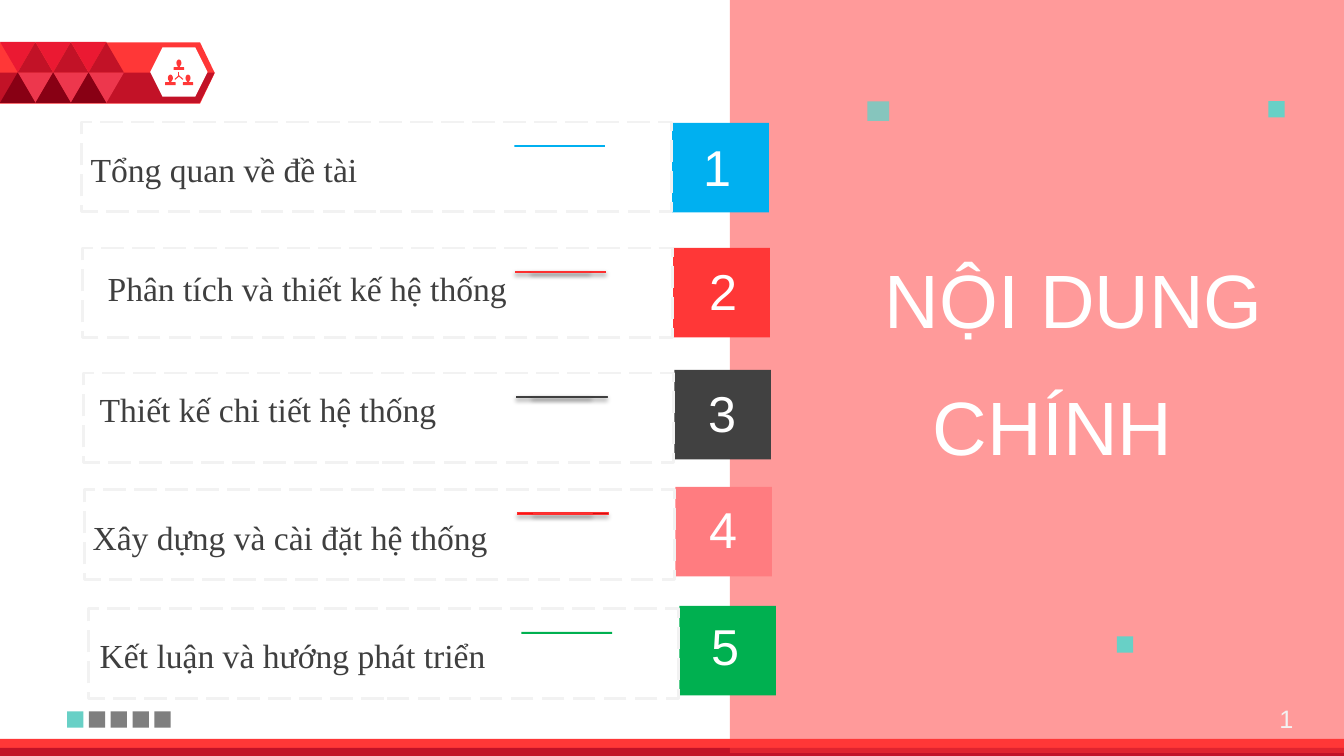
"""Build the contents slide with five numbered topics."""
from dataclasses import dataclass

from lxml import etree
from pptx import Presentation, util as u
from pptx.dml.color import RGBColor
from pptx.enum import dml, shapes, text
from pptx.oxml import ns

KIND = shapes.MSO_SHAPE
ALIGN = text.PP_ALIGN


@dataclass(frozen=True)
class Theme:
    """Colours, fonts and type sizes of the slide."""
    red: str = "FF3737"
    crimson: str = "C21227"
    scarlet: str = "EB1932"
    rose: str = "ED374D"
    maroon: str = "880014"
    pink: str = "FF7C80"
    blue: str = "00B0F0"
    green: str = "00B050"
    charcoal: str = "414141"
    teal: str = "68D0C6"
    grey: str = "7F7F7F"
    pale: str = "F2F2F2"
    white: str = "FFFFFF"
    black: str = "000000"
    ink: str = "3F3F3F"
    red_rule: tuple = ("D11111", "FF1313", "FD3030")
    dark_rule: tuple = ("2F2F2F", "3F3F3F", "3F3F3F")
    sans: str = "Arial"
    serif: str = "Times New Roman"
    title_size: int = 54
    number_size: int = 36
    label_size: int = 24
    page_size: int = 18


THEME = Theme()


@dataclass(frozen=True)
class Topic:
    """One row: its wording, colours and (left, top) places in points."""
    label: str
    colour: str
    frame: tuple
    badge_top: float
    number_at: tuple
    label_at: tuple
    shiny: tuple = ()


TOPICS = (
    Topic("Tổng quan về đề tài", THEME.blue, (58.3, 87.1), 87.8,
          (487.4, 93.6), (57.6, 103)),
    Topic("Phân tích và thiết kế hệ thống", THEME.red, (59, 177.1), 177.1,
          (491.8, 182.2), (69.8, 187.9), THEME.red_rule),
    Topic("Thiết kế chi tiết hệ thống", THEME.charcoal, (59.8, 266.4), 264.2,
          (491, 269.3), (64.1, 274.3), THEME.dark_rule),
    Topic("Xây dựng và cài đặt hệ thống", THEME.pink, (60.5, 349.9), 347.8,
          (491.8, 352.1), (59, 365.8), THEME.red_rule),
    Topic("Kết luận và hướng phát triển", THEME.green, (63.4, 434.9), 432.7,
          (493.2, 435.6), (64.1, 450)),
)


def rgb(colour):
    """Turn a hex string into a colour."""
    return RGBColor.from_string(colour)


def paint(shape, colour, opacity=100):
    """Give a shape a plain fill without line or shadow."""
    shape.shadow.inherit = False
    shape.line.fill.background()
    shape.fill.solid()
    shape.fill.fore_color.rgb = rgb(colour)
    if opacity < 100:
        tone = shape.element.spPr.find(".//" + ns.qn("a:srgbClr"))
        etree.SubElement(tone, ns.qn("a:alpha"), val=str(opacity * 1000))
    return shape


def add_block(page, kind, bounds, colour, opacity=100):
    """Add a filled preset shape."""
    shape = page.shapes.add_shape(kind, *map(u.Pt, bounds))
    return paint(shape, colour, opacity)


def write(box, words, font, size, colour, align):
    """Write one formatted run into a box."""
    frame = box.text_frame
    frame.word_wrap = True
    frame.auto_size = text.MSO_AUTO_SIZE.NONE
    frame.vertical_anchor = text.MSO_ANCHOR.TOP
    para = frame.paragraphs[0]
    para.alignment = align
    span = para.add_run()
    span.text = words
    span.font.name = font
    span.font.size = u.Pt(size)
    span.font.color.rgb = rgb(colour)


def add_text(page, bounds, *style):
    """Add a text box with one run."""
    box = page.shapes.add_textbox(*map(u.Pt, bounds))
    write(box, *style)


def add_spoke(page, start, end):
    """Add a thin line of the network icon."""
    spoke = page.shapes.add_connector(
        shapes.MSO_CONNECTOR.STRAIGHT, *map(u.Pt, start + end))
    spoke.line.color.rgb = rgb(THEME.red)
    spoke.line.width = u.Pt(0.75)
    etree.SubElement(spoke.element.spPr, ns.qn("a:effectLst"))


def add_person(page, middle, top):
    """Add a small head and shoulders."""
    add_block(page, KIND.OVAL, (middle - 1.8, top, 3.6, 5), THEME.red)
    add_block(page, KIND.ROUND_2_SAME_RECTANGLE,
              (middle - 3.7, top + 5.4, 7.4, 2.1), THEME.red)
    add_block(page, KIND.RECTANGLE, (middle - 0.8, top + 4, 1.6, 2), THEME.red)


def add_banner(page):
    """Add the arrow banner with its triangles and network icon."""
    arrow = add_block(page, KIND.PENTAGON, (0, 30.2, 153.4, 43.9), THEME.red)
    arrow.adjustments[0] = 0.24
    outline = page.shapes.build_freeform(0, u.Pt(51.8))
    outline.add_line_segments(
        [(u.Pt(x), u.Pt(y)) for x, y in ((153.4, 51.8), (142.6, 73.6), (0, 73.6))])
    paint(outline.convert_to_shape(), THEME.crimson)
    badge = add_block(page, KIND.HEXAGON, (107.3, 33.8, 41, 35.3), THEME.white)
    badge.adjustments[0] = 0.25
    hub = (127.8, 54.2)
    for end in ((127.8, 51.1), (124.9, 56.7), (130.7, 56.7)):
        add_spoke(page, hub, end)
    for middle, top in ((127.8, 42.5), (121.7, 53.3), (134.3, 53.3)):
        add_person(page, middle, top)
    side, height = 25.3, 21.7
    for column in range(3):
        for shift, top, turn, colour in (
                (0, 29.9, 180, THEME.scarlet), (0.5, 30.2, 0, THEME.crimson),
                (0.5, 51.8, 180, THEME.rose), (0, 51.8, 0, THEME.maroon)):
            left = (column + shift) * side
            tile = add_block(page, KIND.ISOSCELES_TRIANGLE,
                             (left, top, side, height), colour)
            tile.rotation = turn


def add_rule(page, topic):
    """Add the double accent rule, glossy where the topic asks for it."""
    middle, level = topic.frame[0] + 341.5, topic.frame[1] + 17.2
    for width, height in ((64.8, 1.4), (41.8, 0.7)):
        bounds = (middle - width / 2, level - height / 2, width, height)
        rule = add_block(page, KIND.RECTANGLE, bounds, topic.colour)
        if topic.shiny:
            first, last, edge = topic.shiny
            rule.fill.gradient()
            rule.fill.gradient_angle = 180
            for stop, colour in zip(rule.fill.gradient_stops, (first, last)):
                stop.color.rgb = rgb(colour)
            rule.line.color.rgb = rgb(edge)
            rule.line.width = u.Pt(0.75)
            effects = rule.element.spPr.find(ns.qn("a:effectLst"))
            shadow = etree.SubElement(
                effects, ns.qn("a:outerShdw"), blurRad=str(u.Pt(3.1)),
                dist=str(u.Pt(1.8)), dir="5400000", rotWithShape="0")
            tone = etree.SubElement(shadow, ns.qn("a:srgbClr"), val=THEME.black)
            etree.SubElement(tone, ns.qn("a:alpha"), val="35000")


def add_topic(page, number, topic):
    """Add one numbered row."""
    left, top = topic.frame
    add_block(page, KIND.RECTANGLE, (left + 421.9, topic.badge_top, 69, 64), topic.colour)
    add_text(page, (*topic.number_at, 50.4, 51), str(number), THEME.sans,
             THEME.number_size, THEME.white, ALIGN.CENTER)
    add_rule(page, topic)
    frame = add_block(page, KIND.RECTANGLE, (left, top, 421.2, 64), THEME.white)
    frame.fill.background()
    frame.line.color.rgb = rgb(THEME.pale)
    frame.line.width = u.Pt(2)
    frame.line.dash_style = dml.MSO_LINE.LONG_DASH
    add_text(page, (*topic.label_at, 382.3, 36), topic.label, THEME.serif,
             THEME.label_size, THEME.ink, ALIGN.LEFT)


def add_heading(page):
    """Place the title and its second line on the panel."""
    style = (THEME.sans, THEME.title_size, THEME.white, ALIGN.RIGHT)
    title = page.shapes.title
    title.left, title.top, title.width, title.height = map(
        u.Pt, (429.1, 177.1, 480.2, 72.7))
    write(title, "NỘI DUNG", *style)
    title.element.getparent().append(title.element)
    add_text(page, (364.3, 267.8, 480.2, 72.7), "CHÍNH", *style)


def main():
    """Build and save the deck."""
    deck = Presentation()
    deck.slide_width, deck.slide_height = u.Pt(960), u.Pt(540)
    page = deck.slides.add_slide(deck.slide_layouts[5])
    add_banner(page)
    add_block(page, KIND.RECTANGLE, (0, 527.8, 960, 11.5), THEME.red)
    add_block(page, KIND.RECTANGLE, (0, 534.2, 960, 5.8), THEME.crimson)
    add_block(page, KIND.RECTANGLE, (521.3, -2.2, 438.7, 540), THEME.red, 50)
    add_heading(page)
    add_block(page, KIND.RECTANGLE, (619.6, 72.4, 15.5, 14), THEME.teal, 80)
    for left, top in ((797.8, 454.5), (906, 72.2)):
        add_block(page, KIND.RECTANGLE, (left, top, 11.6, 11.6), THEME.teal)
    for step in range(5):
        add_block(page, KIND.RECTANGLE, (47.9 + 15.6 * step, 508.2, 11.6, 11.6),
                  THEME.grey if step else THEME.teal)
    for number, topic in enumerate(TOPICS, 1):
        add_topic(page, number, topic)
    add_text(page, (888.5, 499, 42.5, 28.8), "1", THEME.sans,
             THEME.page_size, THEME.pale, ALIGN.RIGHT)
    deck.save("out.pptx")


if __name__ == "__main__":
    main()
